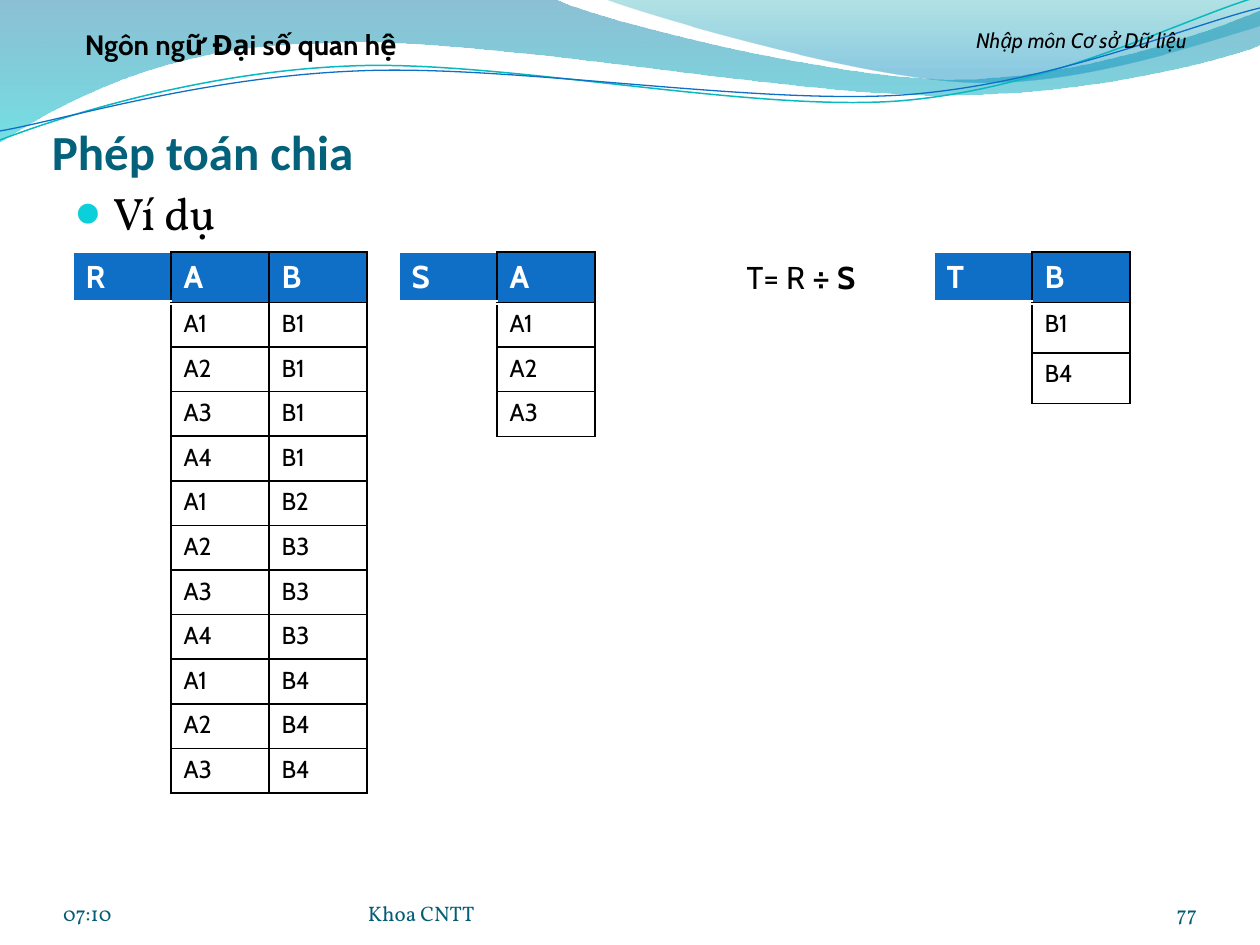
import dataclasses

import lxml.etree
import pptx
import pptx.dml.color
import pptx.enum.text
import pptx.oxml
import pptx.oxml.ns
import pptx.util

SCALE = 914400 / 126
ALIGN = pptx.enum.text.PP_ALIGN
ANCHOR = pptx.enum.text.MSO_ANCHOR
AUTO_SIZE = pptx.enum.text.MSO_AUTO_SIZE


@dataclasses.dataclass(frozen=True)
class Theme:
    """Colours, fonts and type sizes of the deck."""
    title: str = "04617B"
    footer: str = "045D75"
    header: str = "0F6FC6"
    bullet: str = "0BD0D9"
    teal: str = "0AB8BF"
    black: str = "000000"
    white: str = "FFFFFF"
    heading_font: str = "Calibri"
    body_font: str = "Vollkorn"
    label_font: str = "Cabin"
    title_size: int = 28
    body_size: int = 26
    table_size: int = 18
    banner_size: int = 16
    cell_size: int = 14
    small_size: int = 12


THEME = Theme()


def emu(px):
    """Turn px into EMU."""
    return round(px * SCALE)


def rgb(color):
    """Turn a hex string into a colour."""
    return pptx.dml.color.RGBColor.from_string(color)


def add_node(parent, tag, **attributes):
    """Append a drawing element with its attributes."""
    return lxml.etree.SubElement(parent, pptx.oxml.ns.qn(f"a:{tag}"), attributes)


def style(span, font, size, color, bold=False, italic=False):
    """Format one run."""
    span.font.name = font
    span.font.size = pptx.util.Pt(size)
    span.font.color.rgb = rgb(color)
    span.font.bold = bold
    span.font.italic = italic


def add_text(page, box, text, font, size, color, bold=False, italic=False, align=ALIGN.LEFT,
             anchor=ANCHOR.TOP, insets=(13, 6, 13, 6), wrap=True, grow=False):
    """Place a one-paragraph text box and return its paragraph."""
    frame = page.shapes.add_textbox(*map(emu, box)).text_frame
    frame.word_wrap = wrap
    frame.auto_size = AUTO_SIZE.SHAPE_TO_FIT_TEXT if grow else AUTO_SIZE.NONE
    frame.vertical_anchor = anchor
    frame.margin_left, frame.margin_top, frame.margin_right, frame.margin_bottom = map(emu, insets)
    frame.text = text
    para = frame.paragraphs[0]
    para.alignment = align
    style(para.runs[0], font, size, color, bold, italic)
    return para


def add_outline(page, box, segments, closed):
    """Draw a freeform of lines (two numbers) and cubic curves (six numbers)."""
    left, top = box[:2]
    points = [(emu(left + x), emu(top + y))
              for segment in segments for x, y in zip(segment[::2], segment[1::2])]
    builder = page.shapes.build_freeform(*points[0], scale=1.0)
    builder.add_line_segments(points[1:], close=closed)
    shape = builder.convert_to_shape()
    shape.shadow.inherit = False
    lines = iter(shape.element.xpath(".//a:lnTo"))
    for segment in segments[1:]:
        first = next(lines)
        if len(segment) == 6:
            curve = pptx.oxml.parse_xml(f'<a:cubicBezTo {pptx.oxml.ns.nsdecls("a")}/>')
            first.addprevious(curve)
            for line in (first, next(lines), next(lines)):
                curve.append(line[0])
                line.getparent().remove(line)
    return shape


def draw_waves(page, box):
    """Draw the translucent bands and the two thin curves."""
    bands = (
        ([(0, -1), (554, -1), (600, 21, 837, 79, 955, 79), (1075, 79, 1207, 33, 1260, 11),
          (1261, 45), (1239, 55, 1096, 96, 940, 95), (781, 95, 481, 35, 324, 43),
          (163, 44, 58, 105, -1, 142), (0, -1)], ((0, "0074A1", 45), (1, "00C6CF", 55))),
        ([(604, -1), (641, 14, 859, 78, 969, 82), (1079, 87, 1211, 40, 1260, 26), (1260, 0),
          (604, -1)], ((0, "00A1A9", 30), (0.8, "008BBF", 45))),
    )
    for segments, stops in bands:
        band = add_outline(page, box, segments, True)
        band.line.fill.background()
        band.fill.gradient()
        band.fill.gradient_angle = 270
        for stop, (position, color, opacity) in zip(band.fill.gradient_stops, stops):
            stop.position = position
            stop.color.rgb = rgb(color)
        for node, (position, color, opacity) in zip(band.element.xpath(".//a:gs/a:srgbClr"), stops):
            add_node(node, "alpha", val=str(opacity * 1000))
    curves = (
        ([(0, 140), (60, 117, 199, 72, 349, 66), (498, 59, 747, 112, 898, 101),
          (1050, 89, 1182, 19, 1257, -3)], THEME.teal, 0.85),
        ([(0, 131), (59, 121, 203, 77, 357, 71), (508, 64, 752, 105, 903, 95),
          (1053, 84, 1186, 26, 1260, 8)], THEME.header, 0.75),
    )
    for segments, color, width in curves:
        curve = add_outline(page, box, segments, False)
        curve.fill.background()
        curve.line.color.rgb = rgb(color)
        curve.line.width = pptx.util.Pt(width)


def draw_banner(page, box):
    """Write the chapter and course names."""
    left, top, width, height = box
    add_text(page, (left + width - 357, top, 357, height), "Nhập môn Cơ sở Dữ liệu", THEME.label_font,
             THEME.small_size, THEME.black, italic=True, align=ALIGN.CENTER, grow=True)
    add_text(page, (left + 31, top, 420, height), "Ngôn ngữ Đại số quan hệ", THEME.label_font,
             THEME.banner_size, THEME.black, bold=True, align=ALIGN.CENTER, grow=True)


def draw_heading(page, box):
    """Write the title and its bulleted line."""
    left, top, width, height = box
    add_text(page, (left, top, width, 86), "Phép toán chia", THEME.heading_font, THEME.title_size,
             THEME.title, bold=True, anchor=ANCHOR.BOTTOM, insets=(0, 6, 0, 0))
    para = add_text(page, (left + 10, top + 85, width - 42, height - 85), "Ví dụ",
                    THEME.body_font, THEME.body_size, THEME.black)
    properties = para._p.get_or_add_pPr()
    properties.set("marL", str(emu(38)))
    properties.set("indent", str(-emu(38)))
    add_node(add_node(properties, "buClr"), "srgbClr", val=THEME.bullet)
    add_node(properties, "buSzPct", val="95000")
    add_node(properties, "buFont", typeface=THEME.heading_font)
    add_node(properties, "buChar", char="●")


def set_borders(cell, **sides):
    """Give each side of a cell a colour and a width in points."""
    properties = cell._tc.get_or_add_tcPr()
    for side in "LRTB":
        color, points = sides.get(side, (THEME.black, 1))
        line = add_node(properties, f"ln{side}", w=str(pptx.util.Pt(points)))
        add_node(add_node(line, "solidFill"), "srgbClr", val=color)


def draw_relation(page, box, name, columns, rows, merged=True):
    """Draw a relation table with its name in the first column."""
    grid = [(name, *columns)] + [("", *row) for row in rows]
    header_height = 50
    table = page.shapes.add_table(len(grid), len(grid[0]), *map(emu, box)).table
    table.first_row = table.horz_banding = False
    for column in table.columns:
        column.width = emu(box[2] / len(grid[0]))
    for index, values in enumerate(grid):
        header = index == 0
        table.rows[index].height = emu(header_height if header else (box[3] - header_height) / len(rows))
        for place, value in enumerate(values):
            cell = table.cell(index, place)
            white = (THEME.white, 1)
            sides = {"L": white, "T": white, "B": (THEME.white, 3 if header else 1)}
            set_borders(cell, **(sides if place == 0 else {}))
            if header:
                cell.fill.solid()
                cell.fill.fore_color.rgb = rgb(THEME.header)
            else:
                cell.fill.background()
            para = cell.text_frame.paragraphs[0]
            if value:
                para.text = value
                style(para.runs[0], THEME.label_font, THEME.table_size if header else THEME.cell_size,
                      THEME.white if header else THEME.black, bold=header)
            else:
                add_node(para._p, "endParaRPr", sz=str(THEME.cell_size * 100))
    if merged:
        table.cell(1, 0).merge(table.cell(len(rows), 0))


def draw_formula(page, box):
    """Write the division formula."""
    para = add_text(page, box, "T= R ", THEME.label_font, THEME.table_size, THEME.black,
                    align=ALIGN.CENTER, wrap=False, grow=True)
    span = para.add_run()
    span.text = "÷ S"
    style(span, THEME.label_font, THEME.table_size, THEME.black, bold=True)


def draw_footer(page, box):
    """Write the time, the page number and the department."""
    left, top, width, height = box
    parts = (("07:10", 0, 294, ALIGN.LEFT), ("77", width - 105, 105, ALIGN.RIGHT),
             ("Khoa CNTT", 305, 462, ALIGN.LEFT))
    for text, offset, part_width, align in parts:
        add_text(page, (left + offset, top, part_width, height), text, THEME.body_font,
                 THEME.small_size, THEME.footer, align=align, anchor=ANCHOR.BOTTOM, insets=(0, 0, 0, 0))


def main():
    """Build and save the deck."""
    deck = pptx.Presentation()
    deck.slide_width, deck.slide_height = emu(1260), emu(945)
    page = deck.slides.add_slide(deck.slide_layouts[6])
    draw_waves(page, (0, 0, 1260, 143))
    draw_heading(page, (52, 94, 1176, 799))
    draw_footer(page, (63, 876, 1134, 50))
    draw_banner(page, (0, 22, 1260, 47))
    pairs = ("A1 B1", "A2 B1", "A3 B1", "A4 B1", "A1 B2", "A2 B3", "A3 B3", "A4 B3",
             "A1 B4", "A2 B4", "A3 B4")
    draw_relation(page, (73, 252, 294, 541), "R", "AB", [pair.split() for pair in pairs])
    draw_relation(page, (399, 252, 196, 184), "S", "A", [["A1"], ["A2"], ["A3"]])
    draw_formula(page, (724, 252, 154, 50))
    draw_relation(page, (934, 252, 196, 151), "T", "B", [["B1"], ["B4"]], merged=False)
    deck.save("out.pptx")


if __name__ == "__main__":
    main()
